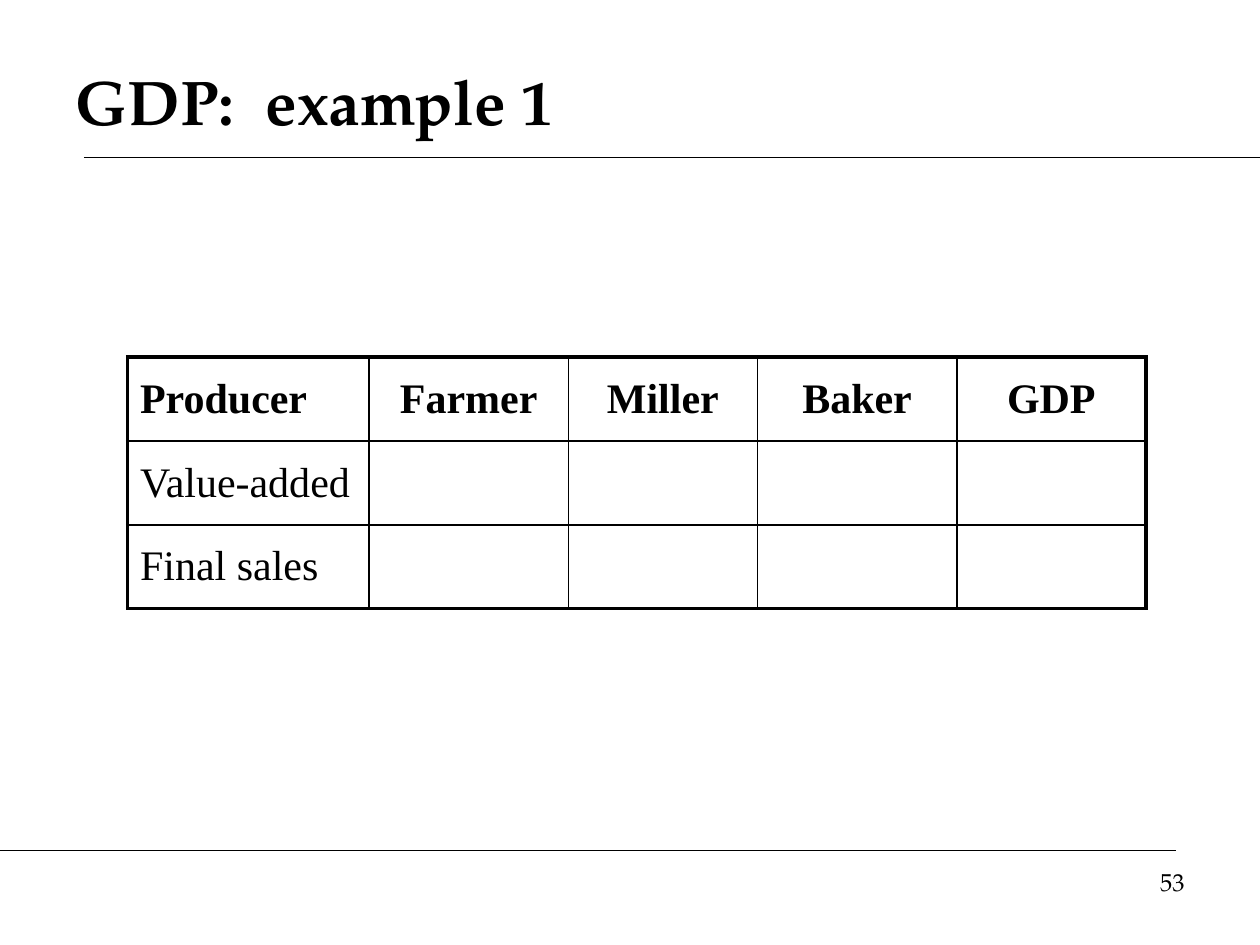
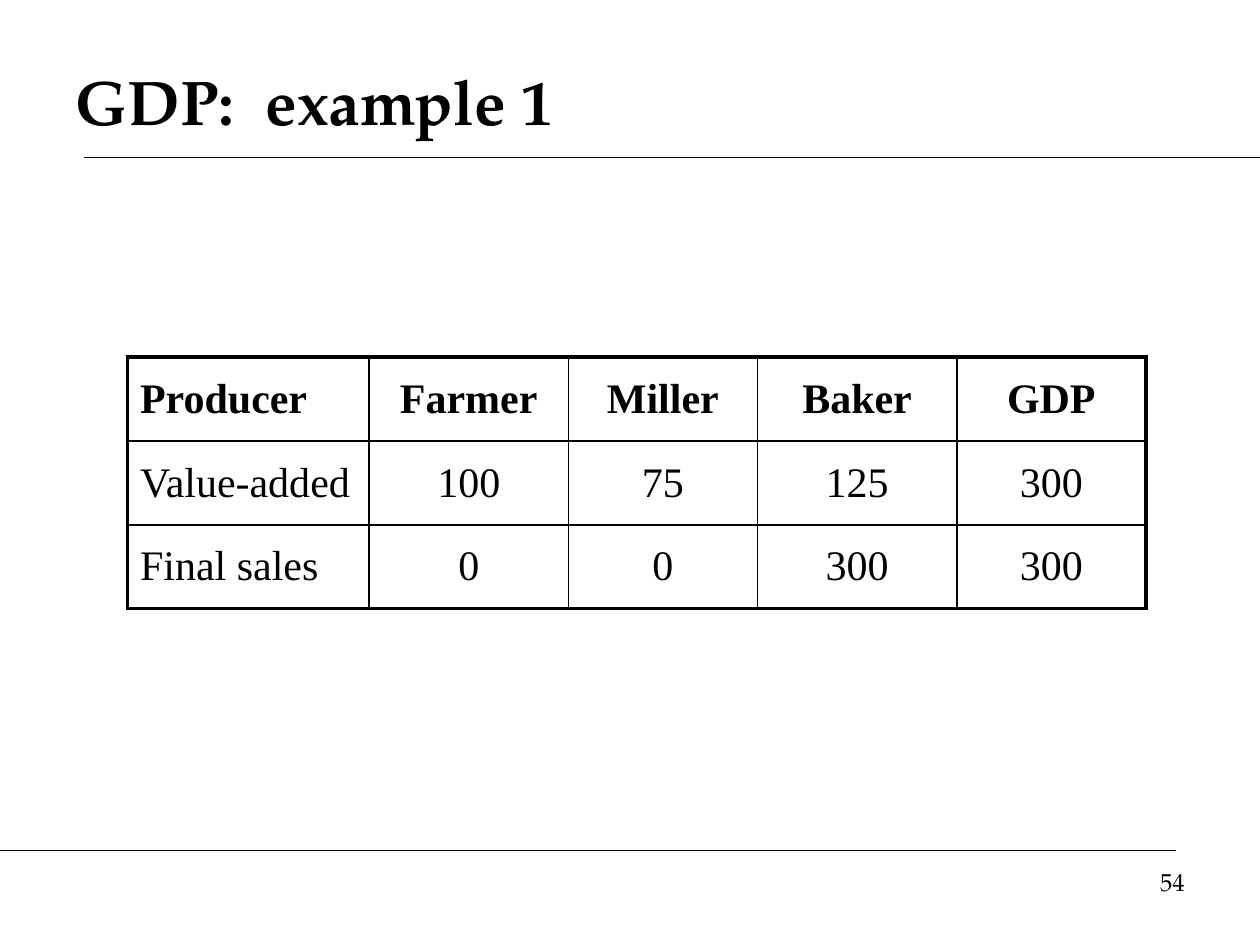
from lxml import etree
from pptx import Presentation
from pptx.dml.color import RGBColor
from pptx.enum.shapes import MSO_CONNECTOR
from pptx.enum.text import MSO_ANCHOR, PP_ALIGN
from pptx.oxml.ns import qn
from pptx.util import Cm, Pt

STRAIGHT = MSO_CONNECTOR.STRAIGHT
TOP, MIDDLE = MSO_ANCHOR.TOP, MSO_ANCHOR.MIDDLE
LEFT, CENTER, RIGHT = PP_ALIGN.LEFT, PP_ALIGN.CENTER, PP_ALIGN.RIGHT

COLORS = {"ink": "000000", "paper": "FFFFFF"}
HEAD_FONT, TABLE_FONT = "TeX Gyre Pagella", "Times New Roman"
THIN, THICK = 1, 2.25

TITLE = "GDP:  example 1"
HEADER = ["Producer", "Farmer", "Miller", "Baker", "GDP"]
COL_WIDTHS = [4.87, 4.02, 3.81, 4.02, 3.81]
ROW_HEIGHT = 1.69
RULES = [(1.69, 25.4, 3.18), (0, 23.71, 17.14)]  # left, right, height on slide

# Slide number and table body for each slide
SLIDES = [
    ("53", [["Value-added", "", "", "", ""],
            ["Final sales", "", "", "", ""]]),
    ("54", [["Value-added", "100", "75", "125", "300"],
            ["Final sales", "0", "0", "300", "300"]]),
]


def write(tf, text, font, size, align, bold=False):
    p = tf.paragraphs[0]
    p.alignment = align
    r = p.add_run()
    r.text = text
    r.font.name, r.font.size, r.font.bold = font, Pt(size), bold
    r.font.color.rgb = RGBColor.from_string(COLORS["ink"])


def add_border(cell, side, width):
    ln = etree.SubElement(cell._tc.get_or_add_tcPr(), qn("a:ln" + side), w=str(Pt(width)))
    fill = etree.SubElement(ln, qn("a:solidFill"))
    etree.SubElement(fill, qn("a:srgbClr"), val=COLORS["ink"])


prs = Presentation()
prs.slide_width, prs.slide_height = Cm(25.4), Cm(19.05)

for number, body in SLIDES:
    s = prs.slides.add_slide(prs.slide_layouts[6])
    s.background.fill.solid()
    s.background.fill.fore_color.rgb = RGBColor.from_string(COLORS["paper"])

    # Rules under the title and above the footer
    for x1, x2, y in RULES:
        line = s.shapes.add_connector(STRAIGHT, Cm(x1), Cm(y), Cm(x2), Cm(y))
        line.line.width = Pt(0.75)
        line.line.color.rgb = RGBColor.from_string(COLORS["ink"])
        etree.SubElement(line._element.spPr, qn("a:effectLst"))

    # Title and slide number
    for text, box, size, anchor, align, bold in [
        (TITLE, (1.27, 0.85, 22.86, 2.33), 36, MIDDLE, LEFT, True),
        (number, (18.2, 17.36, 5.93, 1.32), 14, TOP, RIGHT, False),
    ]:
        tf = s.shapes.add_textbox(*[Cm(v) for v in box]).text_frame
        tf.word_wrap = True
        tf.vertical_anchor = anchor
        write(tf, text, HEAD_FONT, size, align, bold)

    # Table with a thick frame and thin inner lines
    rows = [HEADER] + body
    last_row, last_col = len(rows) - 1, len(HEADER) - 1
    table = s.shapes.add_table(len(rows), len(HEADER), Cm(2.57), Cm(7.2),
                               Cm(sum(COL_WIDTHS)), Cm(ROW_HEIGHT * len(rows))).table
    table.first_row = table.horz_banding = False
    for col, width in zip(table.columns, COL_WIDTHS):
        col.width = Cm(width)
    for i, row in enumerate(rows):
        table.rows[i].height = Cm(ROW_HEIGHT)
        for j, text in enumerate(row):
            cell = table.cell(i, j)
            cell.vertical_anchor = MIDDLE
            for side, outer in [("L", j == 0), ("R", j == last_col),
                                ("T", i == 0), ("B", i == last_row)]:
                add_border(cell, side, THICK if outer else THIN)
            cell.fill.background()
            if text:
                write(cell.text_frame, text, TABLE_FONT, 24,
                      LEFT if j == 0 else CENTER, i == 0)

prs.save("out.pptx")
